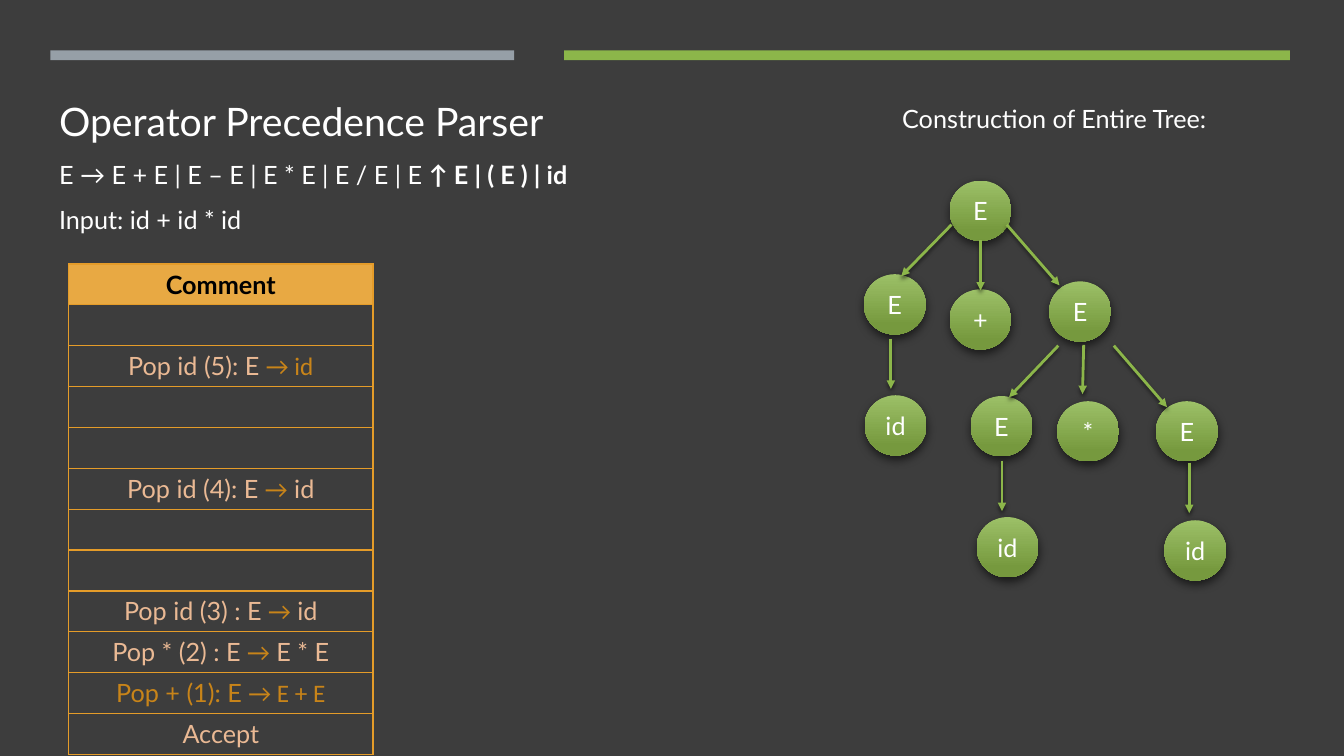
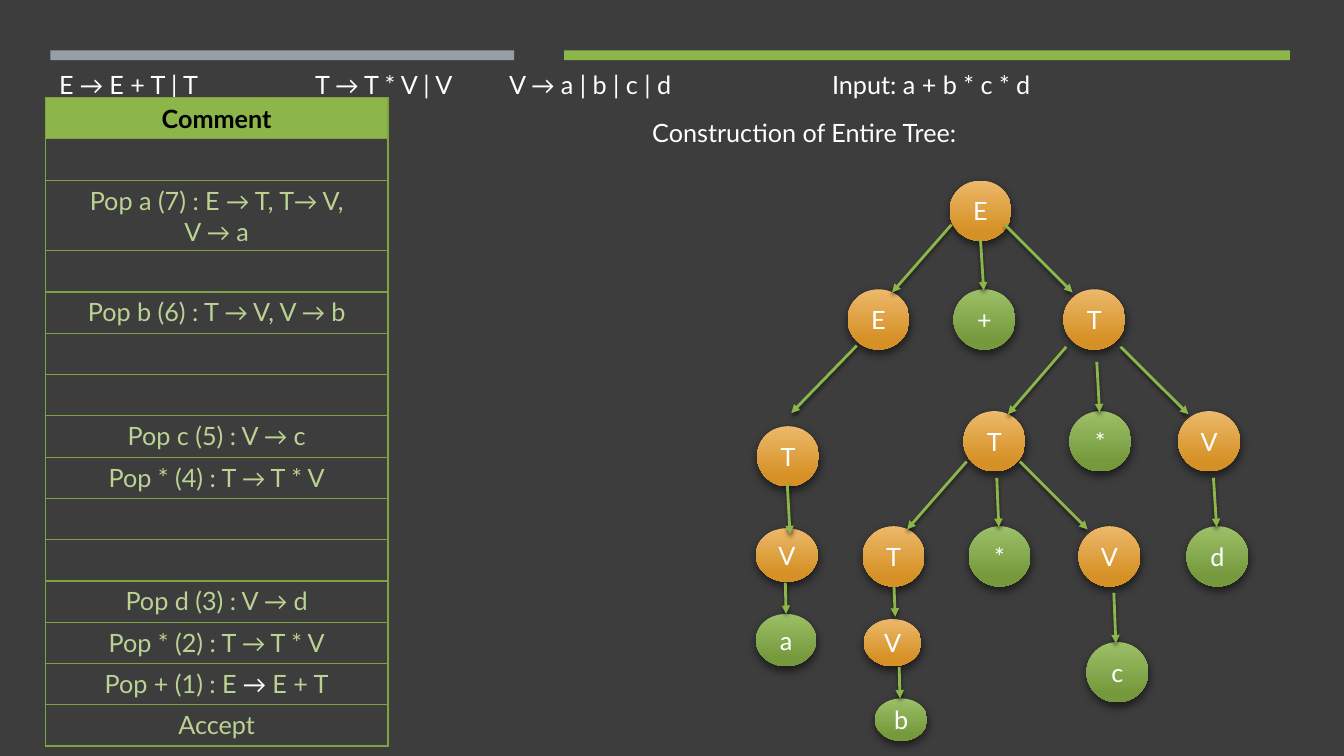
from dataclasses import dataclass
from typing import Optional, Sequence

from lxml.etree import SubElement
from pptx import Presentation
from pptx.dml.color import RGBColor
from pptx.enum.shapes import MSO_CONNECTOR, MSO_SHAPE
from pptx.enum.text import MSO_ANCHOR, PP_ALIGN
from pptx.oxml.ns import qn
from pptx.util import Cm, Pt

LATO = "Lato"
CALIBRI = "Calibri"
ARROW = "→"

BACKGROUND = RGBColor(0x3D, 0x3D, 0x3D)
WHITE = RGBColor(0xFF, 0xFF, 0xFF)
BLACK = RGBColor(0x00, 0x00, 0x00)
GREY = RGBColor(0x96, 0x9F, 0xA7)
GREEN = RGBColor(0x8C, 0xB6, 0x4A)
GREEN_BORDER = RGBColor(0x7E, 0xA4, 0x42)
GREEN_TEXT = RGBColor(0xBA, 0xD3, 0x92)
ORANGE = RGBColor(0xE8, 0xA9, 0x43)
ORANGE_BORDER = RGBColor(0xE5, 0x9C, 0x29)
ORANGE_TEXT = RGBColor(0xC8, 0x84, 0x19)
PEACH_TEXT = RGBColor(0xEA, 0xB9, 0x94)
GREEN_SHADE = (RGBColor(0x9C, 0xC0, 0x67), RGBColor(0x76, 0x99, 0x3E))
ORANGE_SHADE = (RGBColor(0xEC, 0xB8, 0x6A), RGBColor(0xD6, 0x91, 0x26))


@dataclass(frozen=True)
class Span:
    text: str
    color: RGBColor = WHITE
    font: str = LATO
    size: int = 18
    bold: bool = False


@dataclass(frozen=True)
class Node:
    label: str
    left: float
    top: float
    width: float = 1.56
    height: float = 1.52


@dataclass(frozen=True)
class Edge:
    start_x: float
    start_y: float
    end_x: float
    end_y: float


@dataclass(frozen=True)
class Shadow:
    opacity: int
    blur: int
    distance: int
    angle: int


@dataclass(frozen=True)
class CommentTable:
    left: float
    top: float
    width: float
    row_height: float
    header: RGBColor
    border: RGBColor
    rows: Sequence[Sequence[Span]]


NODE_SHADOW = Shadow(60, 7, 3, 84)
EDGE_SHADOW = Shadow(55, 3, 2, 90)


def derivation(text: str, color: RGBColor, arrow_color: Optional[RGBColor] = None) -> list[Span]:
    spans = []
    for index, piece in enumerate(text.split(ARROW)):
        if index:
            spans.append(Span(ARROW, arrow_color or color, CALIBRI))
        spans.append(Span(piece, color))
    return spans


def write_spans(para, spans: Sequence[Span]) -> None:
    for span in spans:
        for index, line in enumerate(span.text.split("\n")):
            if index:
                para.add_line_break()
            run = para.add_run()
            run.text = line
            run.font.name = span.font
            run.font.size = Pt(span.size)
            run.font.bold = span.bold
            run.font.color.rgb = span.color


def add_shadow(properties, shadow: Shadow) -> None:
    effects = properties.find(qn("a:effectLst"))
    if effects is None:
        effects = SubElement(properties, qn("a:effectLst"))
    outer = SubElement(effects, qn("a:outerShdw"), blurRad=str(Pt(shadow.blur)),
                       dist=str(Pt(shadow.distance)), dir=str(shadow.angle * 60000),
                       algn="ctr", rotWithShape="0")
    color = SubElement(outer, qn("a:srgbClr"), val="000000")
    SubElement(color, qn("a:alpha"), val=str(shadow.opacity * 1000))


def add_text(page, left: float, top: float, width: float, height: float,
             lines: Sequence[Sequence[Span]], centred: bool = False,
             tabs: Sequence[float] = ()) -> None:
    box = page.shapes.add_textbox(Cm(left), Cm(top), Cm(width), Cm(height))
    frame = box.text_frame
    frame.word_wrap = True
    frame.vertical_anchor = MSO_ANCHOR.TOP if centred else MSO_ANCHOR.MIDDLE
    for index, spans in enumerate(lines):
        para = frame.add_paragraph() if index else frame.paragraphs[0]
        para.alignment = PP_ALIGN.CENTER if centred else PP_ALIGN.LEFT
        para.line_spacing = 1.5
        if tabs:
            stops = SubElement(para._p.get_or_add_pPr(), qn("a:tabLst"))
            for position in tabs:
                SubElement(stops, qn("a:tab"), pos=str(Cm(position)), algn="l")
        write_spans(para, spans)


def add_band(page, left: float, width: float, color: RGBColor) -> None:
    band = page.shapes.add_shape(MSO_SHAPE.RECTANGLE, Cm(left), Cm(1.27), Cm(width), Cm(0.25))
    band.shadow.inherit = False
    band.fill.solid()
    band.fill.fore_color.rgb = color
    band.line.fill.background()


def add_page(deck):
    page = deck.slides.add_slide(deck.slide_layouts[6])
    page.background.fill.solid()
    page.background.fill.fore_color.rgb = BACKGROUND
    add_band(page, 1.27, 11.69, GREY)
    add_band(page, 14.22, 18.29, GREEN)
    return page


def add_caption(page, left: float, top: float) -> None:
    add_text(page, left, top, 9.8, 1.3, [[Span("Construction of Entire Tree:")]], centred=True)


def add_comments(page, comments: CommentTable) -> None:
    rows = [[Span("Comment", BLACK, bold=True)], *comments.rows]
    frame = page.shapes.add_table(len(rows), 1, Cm(comments.left), Cm(comments.top),
                                  Cm(comments.width), Cm(comments.row_height * len(rows)))
    table = frame.table
    table.first_row = False
    table.horz_banding = False
    for index, spans in enumerate(rows):
        table.rows[index].height = Cm(comments.row_height)
        cell = table.cell(index, 0)
        properties = cell._tc.get_or_add_tcPr()
        for side in ("lnL", "lnR", "lnT", "lnB"):
            border = SubElement(properties, qn(f"a:{side}"), w=str(Pt(1)))
            fill = SubElement(border, qn("a:solidFill"))
            SubElement(fill, qn("a:srgbClr"), val=str(comments.border))
        if index:
            cell.fill.background()
        else:
            cell.fill.solid()
            cell.fill.fore_color.rgb = comments.header
            cell.vertical_anchor = MSO_ANCHOR.MIDDLE
        para = cell.text_frame.paragraphs[0]
        para.alignment = PP_ALIGN.CENTER
        write_spans(para, spans)


def add_node(page, node: Node, shade: tuple[RGBColor, RGBColor]) -> None:
    oval = page.shapes.add_shape(MSO_SHAPE.OVAL, Cm(node.left), Cm(node.top),
                                 Cm(node.width), Cm(node.height))
    oval.fill.gradient()
    oval.fill.gradient_angle = 270
    for stop, color, position in zip(oval.fill.gradient_stops, shade, (0, 0.84)):
        stop.color.rgb = color
        stop.position = position
    oval.line.fill.background()
    oval.shadow.inherit = False
    add_shadow(oval._element.spPr, NODE_SHADOW)
    frame = oval.text_frame
    frame.word_wrap = False
    frame.margin_left = frame.margin_right = frame.margin_top = frame.margin_bottom = Cm(0)
    frame.vertical_anchor = MSO_ANCHOR.MIDDLE
    para = frame.paragraphs[0]
    para.alignment = PP_ALIGN.CENTER
    write_spans(para, [Span(node.label)])


def add_edge(page, edge: Edge) -> None:
    arrow = page.shapes.add_connector(MSO_CONNECTOR.STRAIGHT, Cm(edge.start_x), Cm(edge.start_y),
                                      Cm(edge.end_x), Cm(edge.end_y))
    arrow.line.color.rgb = GREEN
    arrow.line.width = Pt(2)
    SubElement(arrow.line._get_or_add_ln(), qn("a:tailEnd"), type="triangle")
    add_shadow(arrow._element.spPr, EDGE_SHADOW)


def add_tree(page, nodes: Sequence[Node], edges: Sequence[Edge],
             symbol_shade: tuple[RGBColor, RGBColor]) -> None:
    for node in nodes:
        add_node(page, node, symbol_shade if node.label.isupper() else GREEN_SHADE)
    for edge in edges:
        add_edge(page, edge)


OPERATOR_ROWS = [
    [],
    [Span("Pop id (5): E ", PEACH_TEXT), Span("→ id", ORANGE_TEXT, CALIBRI)],
    [], [],
    derivation("Pop id (4): E → id", PEACH_TEXT, ORANGE_TEXT),
    [], [],
    derivation("Pop id (3) : E → id", PEACH_TEXT, ORANGE_TEXT),
    derivation("Pop * (2) : E → E * E", PEACH_TEXT, ORANGE_TEXT),
    [Span("Pop + (1): E ", ORANGE_TEXT), Span("→ E + E", ORANGE_TEXT, CALIBRI)],
    [Span("Accept", PEACH_TEXT)],
]
OPERATOR_NODES = [
    Node("E", 23.93, 4.55), Node("E", 21.77, 6.91), Node("+", 23.93, 7.29),
    Node("E", 26.44, 7.09), Node("id", 21.79, 9.96), Node("E", 24.46, 9.98),
    Node("*", 26.64, 10.11), Node("E", 29.13, 10.11), Node("id", 24.61, 13.03),
    Node("id", 29.34, 13.11),
]
OPERATOR_EDGES = [
    Edge(23.98, 5.66, 22.71, 6.96), Edge(24.71, 6.05, 24.71, 7.32),
    Edge(25.37, 5.66, 26.7, 7.19), Edge(22.45, 8.53, 22.45, 9.8),
    Edge(26.67, 8.71, 25.43, 10.01), Edge(27.31, 8.69, 27.28, 9.93),
    Edge(28.07, 8.71, 29.41, 10.26), Edge(25.25, 11.61, 25.25, 12.88),
    Edge(29.97, 11.66, 29.97, 12.93),
]
GRAMMAR_ROWS = [
    [],
    derivation("Pop a (7) : E → T, T→ V,\nV → a", GREEN_TEXT),
    [],
    derivation("Pop b (6) : T → V, V → b", GREEN_TEXT),
    [], [],
    derivation("Pop c (5) : V → c", GREEN_TEXT),
    derivation("Pop * (4) : T → T * V", GREEN_TEXT),
    [], [],
    derivation("Pop d (3) : V → d", GREEN_TEXT),
    derivation("Pop * (2) : T → T * V", GREEN_TEXT),
    derivation("Pop + (1) : E → E + T", GREEN_TEXT, WHITE),
    [Span("Accept", GREEN_TEXT)],
]
GRAMMAR_NODES = [
    Node("E", 23.93, 4.55), Node("E", 21.36, 7.29), Node("+", 24.03, 7.29),
    Node("T", 26.8, 7.29), Node("T", 19.08, 10.74), Node("T", 24.28, 10.36),
    Node("*", 26.95, 10.36), Node("V", 29.69, 10.36), Node("V", 19.05, 13.31, 1.56, 1.35),
    Node("T", 21.74, 13.26), Node("*", 24.41, 13.26), Node("V", 27.18, 13.26),
    Node("d", 29.9, 13.26), Node("a", 19.05, 15.47, 1.52, 1.32),
    Node("V", 21.77, 15.6, 1.45, 1.19), Node("c", 27.38, 16.18),
    Node("b", 22.05, 17.6, 1.32, 1.07),
]
GRAMMAR_EDGES = [
    Edge(23.98, 5.66, 22.48, 7.37), Edge(24.71, 6.05, 24.79, 7.32),
    Edge(25.32, 5.66, 27.03, 7.37), Edge(21.59, 8.71, 19.94, 10.41),
    Edge(26.87, 8.74, 25.4, 10.44), Edge(27.64, 9.12, 27.71, 10.39),
    Edge(28.24, 8.74, 29.95, 10.44), Edge(19.84, 12.19, 19.91, 13.46),
    Edge(24.36, 11.63, 22.86, 13.34), Edge(25.12, 12.04, 25.17, 13.28),
    Edge(25.7, 11.63, 27.41, 13.34), Edge(30.58, 12.04, 30.66, 13.28),
    Edge(19.79, 14.68, 19.81, 15.47), Edge(22.53, 14.78, 22.56, 15.54),
    Edge(28.07, 14.94, 28.12, 16.21), Edge(22.66, 16.81, 22.68, 17.6),
]


def main() -> None:
    deck = Presentation()
    deck.slide_width, deck.slide_height = Cm(33.87), Cm(19.05)

    page = add_page(deck)
    add_text(page, 1.24, 1.4, 17.12, 4.98, [
        [Span("Operator Precedence Parser", size=28)],
        [Span("E → E + E | E – E | E * E | E / E | E "), Span("↑ E | ( E ) | id", bold=True)],
        [Span("Input: id + id * id")],
    ])
    add_caption(page, 21.67, 2.11)
    add_comments(page, CommentTable(1.73, 6.65, 7.67, 1.03, ORANGE, ORANGE_BORDER, OPERATOR_ROWS))
    add_tree(page, OPERATOR_NODES, OPERATOR_EDGES, GREEN_SHADE)

    page = add_page(deck)
    grammar = derivation("E → E + T | T\tT → T * V | V\tV → a | b | c | d\tInput: a + b * c * d", WHITE)
    add_text(page, 1.24, 1.4, 30.53, 1.07, [grammar], tabs=(6.45, 11.34, 19.48))
    add_comments(page, CommentTable(1.14, 2.46, 8.64, 1.04, GREEN, GREEN_BORDER, GRAMMAR_ROWS))
    add_caption(page, 15.37, 2.46)
    add_tree(page, GRAMMAR_NODES, GRAMMAR_EDGES, ORANGE_SHADE)

    deck.save("out.pptx")


if __name__ == "__main__":
    main()
